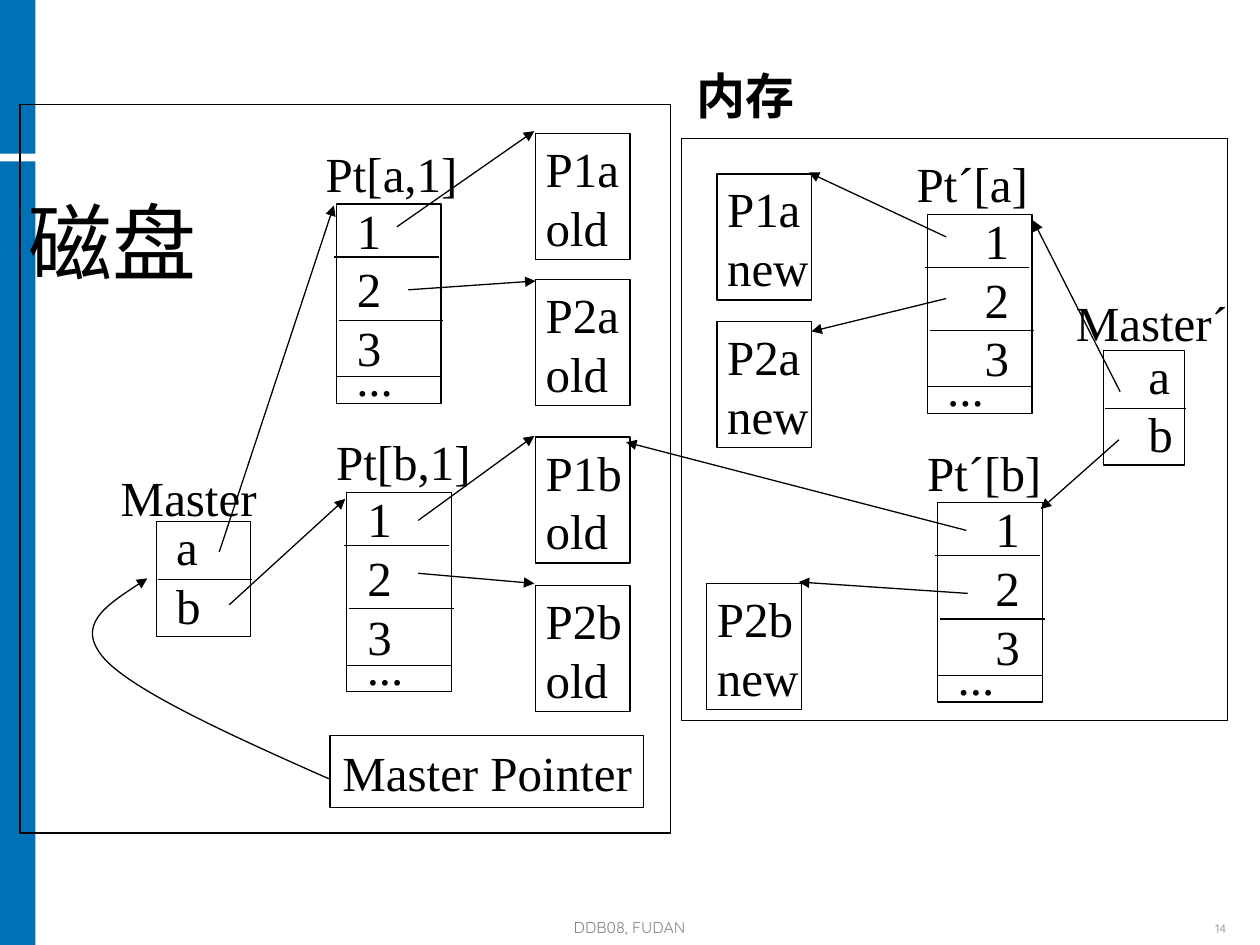
from lxml.etree import SubElement
from pptx import Presentation
from pptx.dml.color import RGBColor
from pptx.enum.shapes import MSO_CONNECTOR, MSO_SHAPE
from pptx.enum.text import MSO_ANCHOR, MSO_AUTO_SIZE, PP_ALIGN
from pptx.oxml.ns import qn
from pptx.util import Pt

BLACK = RGBColor(0, 0, 0)
GRAY = RGBColor(0x84, 0x85, 0x89)
BLUE = RGBColor(0x00, 0x71, 0xB4)


class Diagram:
    font = "Times New Roman"
    size = 28
    line_width = 0.75

    def __init__(self, slide):
        self.slide = slide
        self.shapes = slide.shapes

    def start_group(self):
        self.shapes = self.slide.shapes.add_group_shape().shapes

    def end_group(self):
        self.shapes = self.slide.shapes

    def outline(self, shape):
        shape.line.color.rgb = BLACK
        shape.line.width = Pt(self.line_width)

    def arrowhead(self, shape):
        line = shape._element.spPr.find(qn("a:ln"))
        SubElement(line, qn("a:tailEnd")).set("type", "triangle")

    def rect(self, left, top, width, height, fill=None):
        shape = self.shapes.add_shape(
            MSO_SHAPE.RECTANGLE, Pt(left), Pt(top), Pt(width), Pt(height))
        shape.shadow.inherit = False
        if fill is None:
            shape.fill.background()
            self.outline(shape)
        else:
            shape.fill.solid()
            shape.fill.fore_color.rgb = fill
            shape.line.fill.background()

    def text(self, left, top, width, height, lines, size=None, font=None,
             color=BLACK, bold=False, indent=0, margin_right=0,
             align=PP_ALIGN.LEFT, anchor=MSO_ANCHOR.TOP, grow=True):
        box = self.shapes.add_textbox(Pt(left), Pt(top), Pt(width), Pt(height))
        frame = box.text_frame
        frame.word_wrap = True
        frame.vertical_anchor = anchor
        frame.margin_left = Pt(7.2 + indent)
        frame.margin_right = Pt(margin_right)
        if grow:
            frame.auto_size = MSO_AUTO_SIZE.SHAPE_TO_FIT_TEXT
        for index, line in enumerate(lines):
            paragraph = frame.add_paragraph() if index else frame.paragraphs[0]
            paragraph.alignment = align
            run = paragraph.add_run()
            run.text = line
            run.font.name = font or self.font
            run.font.size = Pt(size or self.size)
            run.font.bold = bold
            run.font.color.rgb = color
        return box

    def line(self, x1, y1, x2, y2, arrow=False):
        connector = self.shapes.add_connector(
            MSO_CONNECTOR.STRAIGHT, Pt(x1), Pt(y1), Pt(x2), Pt(y2))
        self.outline(connector)
        if arrow:
            self.arrowhead(connector)
        SubElement(connector._element.spPr, qn("a:effectLst"))

    def curved_arrow(self, start, controls):
        builder = self.shapes.build_freeform(Pt(start[0]), Pt(start[1]))
        builder.add_line_segments([(Pt(x), Pt(y)) for x, y in controls], close=False)
        curve = builder.convert_to_shape()
        path = curve._element.find(".//" + qn("a:path"))
        segments = path.findall(qn("a:lnTo"))
        for first in range(0, len(segments), 3):
            bezier = SubElement(path, qn("a:cubicBezTo"))
            for segment in segments[first:first + 3]:
                bezier.append(segment[0])
                path.remove(segment)
        curve.shadow.inherit = False
        curve.fill.background()
        self.outline(curve)
        self.arrowhead(curve)

    def page(self, left, top, name, version):
        self.start_group()
        self.text(left - 1.3, top - 0.7, 60, 75, [name, version])
        self.rect(left, top, 54, 72)
        self.end_group()

    def page_table(self, left, top, name, text_width, indent):
        self.start_group()
        self.text(left - 13.2, top - 38.2, 97.2, 41, [name])
        self.text(left + 4.6, top - 5.8, text_width, 108, ["1", "2", "3"], indent=indent)
        self.rect(left, top, 59.8, 113.8)
        for dx, dy in ((-1.4, 30.3), (1.4, 66.4), (0, 98.6)):
            self.line(left + dx, top + dy, left + dx + 59.8, top + dy)
        self.text(left + 4.3, top + 78.5, 35.3, 41, ["..."])
        self.end_group()

    def master(self, left, top, width, text_width, indent):
        self.start_group()
        self.text(left + 4.3, top - 6.5, text_width, 75, ["a", "b"], indent=indent)
        self.rect(left, top, width, 65.5)
        self.line(left + 0.7, top + 33.1, left + 0.7 + width, top + 33.1)
        self.end_group()


deck = Presentation()
deck.slide_width, deck.slide_height = Pt(720), Pt(540)
diagram = Diagram(deck.slides.add_slide(deck.slide_layouts[6]))

diagram.rect(0, 92.2, 20.2, 447.8, fill=BLUE)
diagram.rect(0, 0, 20.2, 87.8, fill=BLUE)
footer = dict(font="Quicksand", color=GRAY, margin_right=7.2, anchor=MSO_ANCHOR.BOTTOM, grow=False)
diagram.text(167.8, 520.6, 383.8, 18, ["DDB08, FUDAN"], size=9, align=PP_ALIGN.CENTER, **footer)
slide_number = diagram.text(648, 520.6, 59.8, 18, ["14"], size=7, align=PP_ALIGN.RIGHT, **footer)
slide_number.text_frame.paragraphs[0].line_spacing = 0.8

diagram.rect(11.5, 59.8, 371.5, 416.2)
diagram.rect(389.5, 79.2, 311.8, 332.6)

for left, top, prefix, suffix, text_width, indent in (
        (192.2, 116.6, "Pt", ",1", 28.1, 0), (529.9, 122.4, "Pt´", "", 49, 21)):
    for index, key in enumerate("ab"):
        diagram.page_table(left + 6 * index, top + 164.9 * index,
                           f"{prefix}[{key}{suffix}]", text_width, indent)

for name, top in (("P1a", 76.3), ("P2a", 159.8), ("P1b", 249.8), ("P2b", 334.8)):
    diagram.page(306, top, name, "old")
for name, left, top in (("P1a", 409.7, 99.4), ("P2a", 409.7, 183.6), ("P2b", 403.9, 333.4)):
    diagram.page(left, top, name, "new")

diagram.master(89.3, 298.1, 54, 28.1, 0)
diagram.master(630.7, 200.2, 46.1, 42.5, 14)
diagram.text(61.9, 263.5, 92.2, 41, ["Master"])
diagram.text(607.7, 163.4, 101.5, 41, ["Master´"])

master_pointer = diagram.text(188.6, 420.5, 179.3, 41, ["Master Pointer"])
diagram.outline(master_pointer)
diagram.curved_arrow((187.9, 445), [
    (132.5, 420.5), (77, 395.3), (59.8, 376.6),
    (42.5, 357.1), (63.4, 344.2), (84.2, 330.5)])

for ends in (
        (125.3, 315.4, 190.8, 117.4), (131, 345.6, 197.3, 285.1),
        (226.8, 129.6, 305.3, 74.9), (233.3, 165.6, 306, 160.6),
        (239, 297.4, 305.3, 249.1), (239, 327.6, 305.3, 333.4),
        (540.7, 135.4, 462.2, 98.6), (552.2, 303.1, 357.8, 252.7),
        (553, 339.1, 456.5, 332.6), (540.7, 170.6, 463.7, 189.4),
        (640.1, 223.9, 590.4, 126), (639.4, 251.3, 594.7, 290.9)):
    diagram.line(*ends, arrow=True)

diagram.text(9.4, 105.1, 110.2, 64.8, ["磁盘"], size=48)
diagram.text(391, 33.8, 77.8, 41, ["内存"], font="Lato", bold=True)

deck.save("out.pptx")
